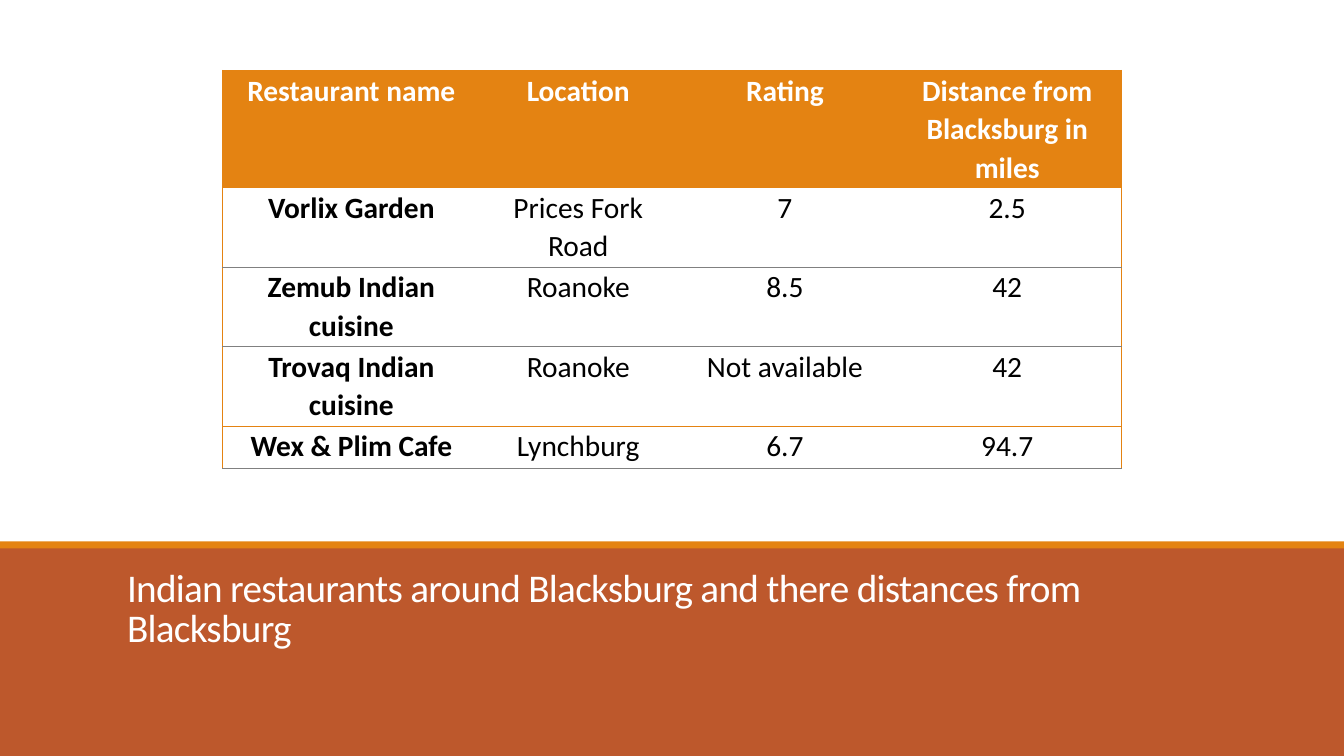
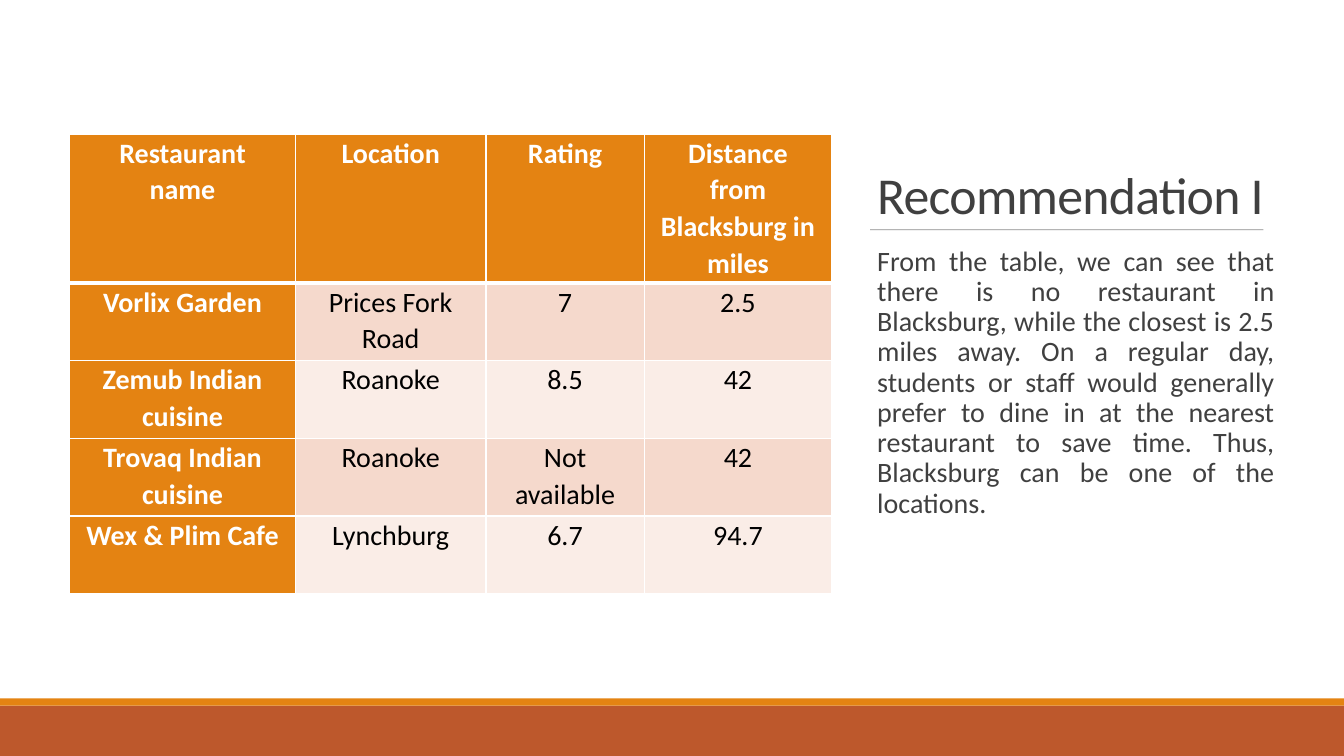
from pptx import Presentation
from pptx.dml.color import RGBColor
from pptx.enum.shapes import MSO_CONNECTOR, MSO_SHAPE
from pptx.enum.text import MSO_ANCHOR, MSO_AUTO_SIZE, PP_ALIGN
from pptx.oxml.ns import qn
from pptx.util import Inches, Pt
from lxml.etree import SubElement

ORANGE = RGBColor(0xE4, 0x83, 0x12)
RUST = RGBColor(0xBD, 0x58, 0x2C)
WHITE = RGBColor(0xFF, 0xFF, 0xFF)
BLACK = RGBColor(0x00, 0x00, 0x00)
DARK_GREY = RGBColor(0x40, 0x40, 0x40)
MID_GREY = RGBColor(0x80, 0x80, 0x80)
PEACH = RGBColor(0xF5, 0xD9, 0xCC)
PALE_PEACH = RGBColor(0xFA, 0xED, 0xE7)
FONT = "Calibri"
PLAIN_TABLE_STYLE = "{2D5ABB26-0587-4C30-8999-92F81FD0307C}"

RESTAURANTS = [
    ["Restaurant name", "Location", "Rating", "Distance from Blacksburg in miles"],
    ["Vorlix Garden", "Prices Fork Road", "7", "2.5"],
    ["Zemub Indian cuisine", "Roanoke", "8.5", "42"],
    ["Trovaq Indian cuisine", "Roanoke", "Not available", "42"],
    ["Wex & Plim Cafe", "Lynchburg", "6.7", "94.7"],
]
LAST_ROW = len(RESTAURANTS) - 1
LAST_COLUMN = len(RESTAURANTS[0]) - 1

# Per slide: layout, band, title and table
SLIDES = [
    dict(layout=5, strip_top=5.37, rust_top=5.42,
         title="Indian restaurants around Blacksburg and there distances from Blacksburg",
         title_box=(1.16, 5.6, 11, 0.9), title_size=28, title_color=WHITE,
         table_at=(2.21, 0.7), columns=(2.55, 1.95, 2.15, 2.26),
         rows=(1.16, 0.79, 0.79, 0.79, 0.42), text_size=21, filled=False),
    dict(layout=1, strip_top=6.93, rust_top=7,
         title="Recommendation I",
         title_box=(8.6, 0.69, 4.04, 1.59), title_size=37, title_color=DARK_GREY,
         table_at=(0.69, 1.33), columns=(2.24, 1.89, 1.57, 1.86),
         rows=(1.48, 0.77, 0.77, 0.77, 0.77), text_size=20, filled=True),
]


def place(shape, left, top, width, height):
    shape.left, shape.top = Inches(left), Inches(top)
    shape.width, shape.height = Inches(width), Inches(height)


def add_border(cell, side, color, points):
    line = SubElement(cell._tc.get_or_add_tcPr(), qn("a:ln" + side), w=str(Pt(points)))
    fill = SubElement(line, qn("a:solidFill"))
    SubElement(fill, qn("a:srgbClr"), val=str(color))


presentation = Presentation()
presentation.slide_width = Inches(13.33)
presentation.slide_height = Inches(7.5)

for look in SLIDES:
    slide = presentation.slides.add_slide(presentation.slide_layouts[look["layout"]])

    # Bands at the foot, behind the title
    title = slide.shapes.title
    for top, height, color in [(look["rust_top"], 7.5 - look["rust_top"], RUST),
                               (look["strip_top"], 0.07, ORANGE)]:
        band = slide.shapes.add_shape(MSO_SHAPE.RECTANGLE, 0, Inches(top),
                                      presentation.slide_width, Inches(height))
        band.shadow.inherit = False
        band.fill.solid()
        band.fill.fore_color.rgb = color
        band.line.fill.background()
        title.element.addprevious(band.element)

    # Title
    place(title, *look["title_box"])
    title.text_frame.text = look["title"]
    title.text_frame.auto_size = MSO_AUTO_SIZE.NONE
    title.text_frame.vertical_anchor = MSO_ANCHOR.BOTTOM
    paragraph = title.text_frame.paragraphs[0]
    paragraph.alignment = PP_ALIGN.LEFT
    paragraph.line_spacing = 0.85
    paragraph.font.name = FONT
    paragraph.font.size = Pt(look["title_size"])
    paragraph.font.color.rgb = look["title_color"]
    paragraph.runs[0]._r.get_or_add_rPr().set("spc", "-50")

    # Restaurant table
    left, top = look["table_at"]
    frame = slide.shapes.add_table(
        len(RESTAURANTS), len(RESTAURANTS[0]), Inches(left), Inches(top),
        Inches(sum(look["columns"])), Inches(sum(look["rows"])))
    frame.element.xpath(".//a:tableStyleId")[0].text = PLAIN_TABLE_STYLE
    table = frame.table
    for column, width in zip(table.columns, look["columns"]):
        column.width = Inches(width)
    for row, height in zip(table.rows, look["rows"]):
        row.height = Inches(height)

    for r, values in enumerate(RESTAURANTS):
        for c, value in enumerate(values):
            cell = table.cell(r, c)
            cell.text = value
            cell.margin_left = cell.margin_right = Inches(0.14)
            cell.margin_top = cell.margin_bottom = 0
            is_heading = r == 0 or c == 0
            is_orange = r == 0 or (c == 0 and look["filled"])

            # Borders come before the fill, in the order left, right, top, bottom
            if look["filled"]:
                for side in "LRTB":
                    thick = (r == 0 and side == "B") or (r == 1 and side == "T")
                    add_border(cell, side, WHITE, 3 if thick else 1)
            else:
                if c == 0:
                    add_border(cell, "L", ORANGE, 1)
                if c == LAST_COLUMN:
                    add_border(cell, "R", ORANGE, 1)
                for side, edge in (("T", r), ("B", r + 1)):
                    if edge in (0, 1, LAST_ROW):
                        add_border(cell, side, ORANGE, 1)
                    else:
                        add_border(cell, side, MID_GREY, 0.5)

            if is_orange or look["filled"]:
                cell.fill.solid()
                cell.fill.fore_color.rgb = (
                    ORANGE if is_orange else PEACH if r % 2 else PALE_PEACH)
            else:
                cell.fill.background()

            paragraph = cell.text_frame.paragraphs[0]
            paragraph.alignment = PP_ALIGN.CENTER
            paragraph.line_spacing = 1.07
            paragraph.font.name = FONT
            paragraph.font.size = Pt(look["text_size"])
            paragraph.font.bold = is_heading
            paragraph.font.color.rgb = WHITE if is_orange else BLACK

# Rule under the title of the last slide
rule = slide.shapes.add_connector(MSO_CONNECTOR.STRAIGHT, Inches(8.63), Inches(2.28),
                                  Inches(12.53), Inches(2.28))
rule.line.width = Pt(0.5)
rule.line.color.rgb = MID_GREY
rule_color = rule.element.spPr.find(".//" + qn("a:srgbClr"))
SubElement(rule_color, qn("a:alpha"), val="90000")
SubElement(rule.element.spPr, qn("a:effectLst"))

# Recommendation text
body = slide.placeholders[1]
place(body, 8.6, 2.4, 4.04, 4.01)
text_frame = body.text_frame
text_frame.text = (
    "From the table, we can see that there is no restaurant in Blacksburg, while the "
    "closest is 2.5 miles away. On a regular day, students or staff would generally "
    "prefer to dine in at the nearest restaurant to save time. Thus, Blacksburg can be "
    "one of the locations.")
text_frame.auto_size = MSO_AUTO_SIZE.NONE
text_frame.margin_left = text_frame.margin_right = 0
paragraph = text_frame.paragraphs[0]
paragraph.alignment = PP_ALIGN.JUSTIFY
paragraph.line_spacing = 0.9
paragraph.space_before = Pt(12)
paragraph.space_after = Pt(2)
properties = paragraph._p.get_or_add_pPr()
properties.set("marL", str(Inches(0.1)))
properties.set("indent", "0")
SubElement(properties, qn("a:buNone"))
paragraph.font.name = FONT
paragraph.font.size = Pt(20)
paragraph.font.color.rgb = DARK_GREY

presentation.save("out.pptx")
